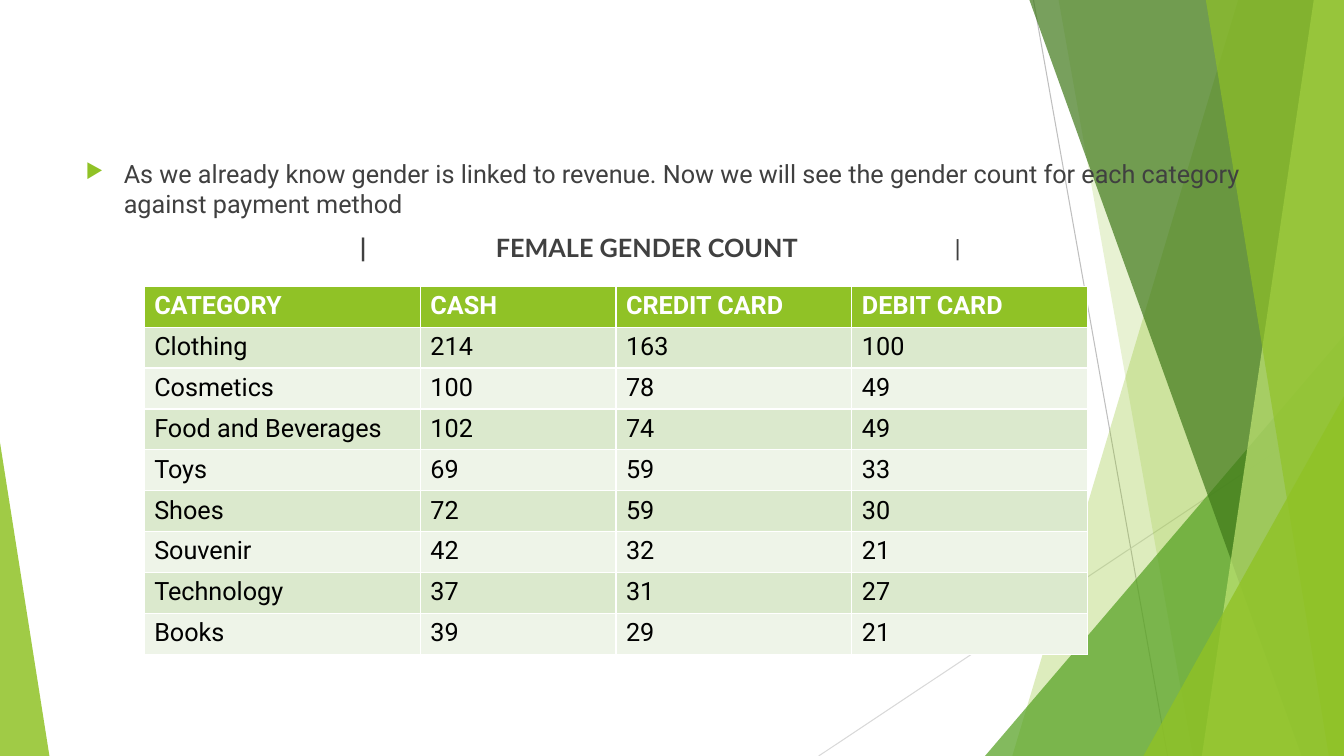
from lxml import etree
from pptx import Presentation
from pptx import util as u
from pptx.dml.color import RGBColor
from pptx.enum import shapes, text
from pptx.oxml import ns

WIDTH, HEIGHT = 13.33, 7.5
GREEN, DARK_TEXT, WHITE = "90C226", "404040", "FFFFFF"
BANDS = ("DBE9CD", "EEF4E8")

# Left edge as (top x, bottom x); each facet runs on to the right slide edge
FACETS_BEHIND = [((12.28, 10.04), GREEN, 30), ((10.5, 11.83), GREEN, 20)]
FACETS_FRONT = [
    ((10.21, 12.91), "3F7819", 70),
    ((13.03, 11.92), "C0E474", 70),
    ((11.96, 13.18), GREEN, 65),
]

INTRO = (
    "As we already know gender is linked to revenue. Now we will see the "
    "gender count for each category against payment method"
)
COLUMN_WIDTHS = (2.74, 1.94, 2.34, 2.34)
COUNTS = [
    ("CATEGORY", "CASH", "CREDIT CARD", "DEBIT CARD"),
    ("Clothing", 214, 163, 100),
    ("Cosmetics", 100, 78, 49),
    ("Food and Beverages", 102, 74, 49),
    ("Toys", 69, 59, 33),
    ("Shoes", 72, 59, 30),
    ("Souvenir", 42, 32, 21),
    ("Technology", 37, 31, 27),
    ("Books", 39, 29, 21),
]


def rgb(value):
    return RGBColor.from_string(value)


def add_child(parent, tag, **attributes):
    child = etree.SubElement(parent, ns.qn(tag))
    for name, value in attributes.items():
        child.set(name, str(value))
    return child


def paint(shape, color, opacity):
    shape.shadow.inherit = False
    shape.line.fill.background()
    shape.fill.solid()
    shape.fill.fore_color.rgb = rgb(color)
    fill_color = shape.fill._xPr.find(".//" + ns.qn("a:srgbClr"))
    add_child(fill_color, "a:alpha", val=opacity * 1000)


def add_ray(slide, start, end, color):
    ray = slide.shapes.add_connector(
        shapes.MSO_CONNECTOR.STRAIGHT, *map(u.Inches, start + end)
    )
    ray.line.color.rgb = rgb(color)
    ray.line.width = u.Pt(0.75)
    add_child(ray._element.spPr, "a:effectLst")


def add_facet(slide, left_edge, color, opacity):
    top_x, bottom_x = left_edge
    outline = slide.shapes.build_freeform(u.Inches(top_x), 0)
    corners = [(WIDTH, 0), (WIDTH, HEIGHT), (bottom_x, HEIGHT)]
    outline.add_line_segments([(u.Inches(x), u.Inches(y)) for x, y in corners])
    paint(outline.convert_to_shape(), color, opacity)


def add_corner(slide, left, top, width, peak, color, opacity):
    corner = slide.shapes.add_shape(
        shapes.MSO_SHAPE.ISOSCELES_TRIANGLE,
        *map(u.Inches, (left, top, width, HEIGHT - top)),
    )
    corner.adjustments[0] = peak
    paint(corner, color, opacity)


def set_font(font, color, name="Roboto", bold=False):
    font.name, font.size, font.bold = name, u.Pt(18), bold
    font.color.rgb = rgb(color)


def add_bullet(paragraph):
    props = paragraph._p.get_or_add_pPr()
    props.set("marL", str(u.Inches(0.38)))
    props.set("indent", str(-u.Inches(0.38)))
    add_child(add_child(props, "a:buClr"), "a:srgbClr", val=GREEN)
    add_child(props, "a:buSzPct", val=80000)
    add_child(props, "a:buChar", char="▶")


def add_tab_stops(paragraph, positions):
    stops = add_child(paragraph._p.get_or_add_pPr(), "a:tabLst")
    for position in positions:
        add_child(stops, "a:tab", pos=u.Inches(position), algn="l")


def add_body(slide):
    body = slide.shapes.add_textbox(*map(u.Inches, (0.75, 1.52, 11.83, 1.32)))
    frame = body.text_frame
    frame.word_wrap = True
    frame.vertical_anchor = text.MSO_ANCHOR.TOP

    intro = frame.paragraphs[0]
    intro.text = INTRO
    intro.space_before = u.Pt(10)
    add_bullet(intro)
    set_font(intro.font, DARK_TEXT)

    # Table caption between two bars, placed by tab stops
    caption = frame.add_paragraph()
    caption.space_before = u.Pt(10)
    add_tab_stops(caption, (2.72, 4.07, 8.62))
    for words, name, bold in (
        ("\t|\tFEMALE GENDER COUNT\t", "Lato", True),
        ("|", "Roboto", False),
    ):
        run = caption.add_run()
        run.text = words
        set_font(run.font, DARK_TEXT, name, bold)


def add_counts_table(slide):
    table = slide.shapes.add_table(
        len(COUNTS), len(COLUMN_WIDTHS),
        *map(u.Inches, (1.43, 2.84, sum(COLUMN_WIDTHS), 3.65)),
    ).table
    for column, width in zip(table.columns, COLUMN_WIDTHS):
        column.width = u.Inches(width)
    for r, row in enumerate(COUNTS):
        header = r == 0
        for c, value in enumerate(row):
            cell = table.cell(r, c)
            cell.text = str(value)
            cell.fill.solid()
            cell.fill.fore_color.rgb = rgb(GREEN if header else BANDS[(r - 1) % 2])
            set_font(
                cell.text_frame.paragraphs[0].font,
                WHITE if header else "000000",
                bold=header,
            )


def main():
    deck = Presentation()
    deck.slide_width, deck.slide_height = u.Inches(WIDTH), u.Inches(HEIGHT)
    slide = deck.slides.add_slide(deck.slide_layouts[6])

    # Green facets on both sides
    add_ray(slide, (10.25, 0), (11.58, HEIGHT), "BFBFBF")
    add_ray(slide, (WIDTH, 4.03), (8.12, HEIGHT), "D9D9D9")
    for facet in FACETS_BEHIND:
        add_facet(slide, *facet)
    add_corner(slide, 9.77, 3.33, 3.56, 1, "54A021", 72)
    for facet in FACETS_FRONT:
        add_facet(slide, *facet)
    add_corner(slide, 11.34, 3.93, 1.99, 1, GREEN, 80)
    add_corner(slide, 0, 4.39, 0.49, 0, GREEN, 85)

    # Content
    add_body(slide)
    add_counts_table(slide)
    deck.save("out.pptx")


if __name__ == "__main__":
    main()
